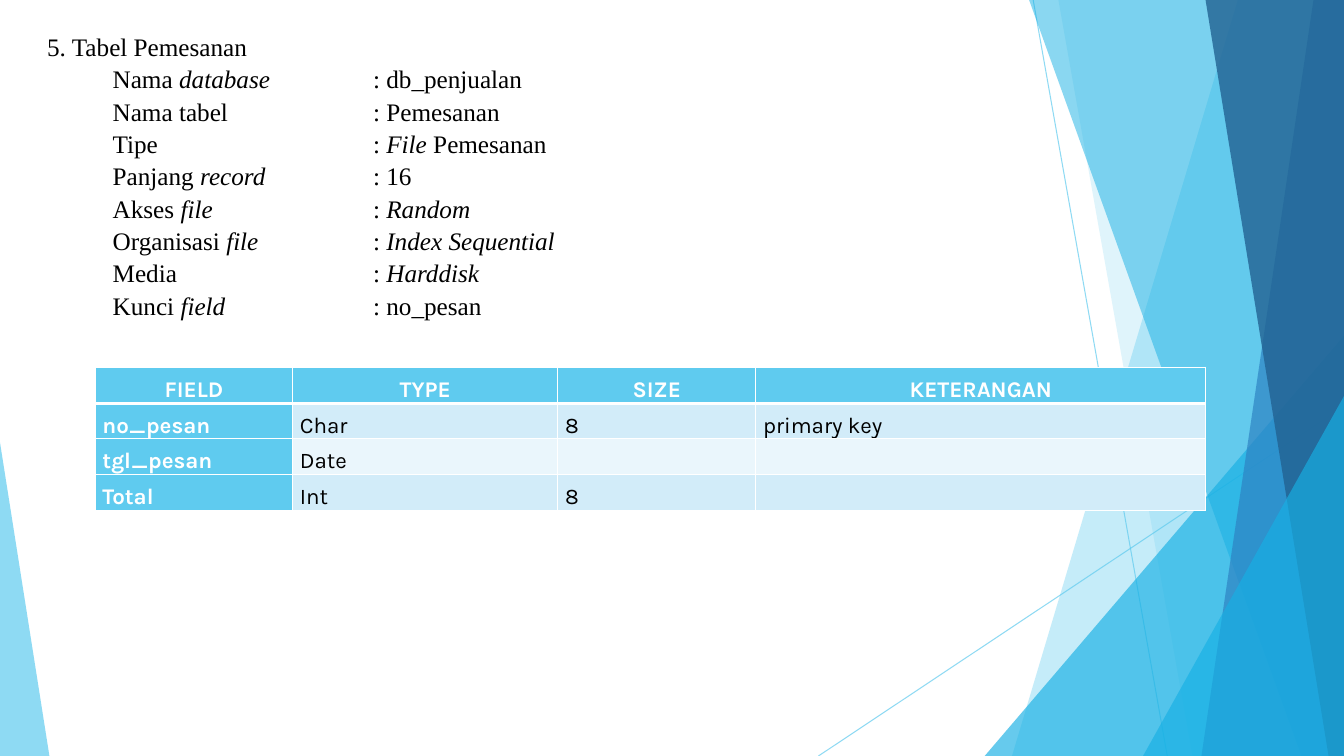
from lxml.etree import SubElement
from pptx import Presentation
from pptx.dml.color import RGBColor
from pptx.enum.shapes import MSO_CONNECTOR, MSO_SHAPE
from pptx.enum.text import MSO_ANCHOR, PP_ALIGN
from pptx.oxml.ns import qn
from pptx.util import Pt

WIDE, HIGH = 960, 540
COLORS = {"sky": "5FCBEF", "cyan": "17B0E4", "blue": "2E83C3", "navy": "226292",
          "pale": "D2ECF9", "mist": "EAF6FC", "white": "FFFFFF", "black": "000000"}

TITLE = "5. Tabel Pemesanan"
# Words between asterisks are italic.
FACTS = [
    ("Nama *database*", "db_penjualan"),
    ("Nama tabel", "Pemesanan"),
    ("Tipe", "*File* Pemesanan"),
    ("Panjang *record*", "16"),
    ("Akses *file*", "*Random*"),
    ("Organisasi *file*", "*Index Sequential*"),
    ("Media", "*Harddisk*"),
    ("Kunci *field*", "no_pesan"),
]
ROWS = [
    ("FIELD", "TYPE", "SIZE", "KETERANGAN"),
    ("no_pesan", "Char", "8", "primary key"),
    ("tgl_pesan", "Date", "", ""),
    ("Total", "Int", "8", ""),
]
COLS = (141.1, 189.4, 141.4, 321.5)
ROW_HIGH = (26, 25.2, 25.2, 25.9)
LEFT, TOP, LINE, INDENT, STOP = 26.6, 17.3, 23.1, 46.8, 186

RAYS = [(738, 0, 833.8, HIGH), (WIDE, 290.2, 584.6, HIGH)]
# A band is (x at top, x at bottom) and reaches the right edge;
# a wedge is (left, top, width, apex) and reaches the bottom edge.
FACETS = [
    ("band", (884.2, 722.9), "sky", 36),
    ("band", (756, 851.8), "sky", 20),
    ("wedge", (703.4, 239.8, 256.6, 1), "cyan", 66),
    ("band", (735.1, 929.5), "cyan", 50),
    ("band", (938.2, 858.2), "blue", 70),
    ("band", (861.1, 949), "navy", 80),
    ("wedge", (816.5, 283, 143.5, 1), "cyan", 66),
    ("wedge", (0, 316.1, 35.3, 0), "sky", 70),
]


def rgb(name):
    return RGBColor.from_string(COLORS[name])


def fade(part, alpha):
    """Make the solid colour inside a shape's properties partly clear."""
    tone = next(part._element.spPr.iter(qn("a:srgbClr")))
    SubElement(tone, qn("a:alpha"), val=str(alpha * 1000))


def draw_ray(shapes, ends):
    ray = shapes.add_connector(MSO_CONNECTOR.STRAIGHT, *map(Pt, ends))
    ray.line.color.rgb = rgb("sky")
    ray.line.width = Pt(0.75)
    fade(ray, 70)
    SubElement(ray._element.spPr, qn("a:effectLst"))


def draw_facet(shapes, kind, spot, color, alpha):
    if kind == "band":
        top, base = spot
        pen = shapes.build_freeform(Pt(top), 0)
        pen.add_line_segments([(Pt(x), Pt(y)) for x, y in
                               ((WIDE, 0), (WIDE, HIGH), (base, HIGH))])
        facet = pen.convert_to_shape()
    else:
        left, top, width, apex = spot
        facet = shapes.add_shape(MSO_SHAPE.ISOSCELES_TRIANGLE, Pt(left), Pt(top),
                                 Pt(width), Pt(HIGH - top))
        facet.adjustments[0] = apex
    facet.shadow.inherit = False
    facet.fill.solid()
    facet.fill.fore_color.rgb = rgb(color)
    facet.line.fill.background()
    fade(facet, alpha)


def write(para, text, font, size, color="black", bold=False,
          align=PP_ALIGN.LEFT, space=1.0):
    """Fill a paragraph, setting words between asterisks in italics."""
    para.alignment = align
    para.line_spacing = space
    for turn, piece in enumerate(text.split("*")):
        if piece:
            run = para.add_run()
            run.text = piece
            run.font.name = font
            run.font.size = Pt(size)
            run.font.bold = bold
            run.font.italic = turn % 2 == 1
            run.font.color.rgb = rgb(color)


def add_lines(shapes, left, top, lines):
    """Add a box of equally spaced lines, with one tab stop for the values."""
    box = shapes.add_textbox(Pt(left), Pt(top), Pt(433.4), Pt(len(lines) * LINE + 7.2))
    frame = box.text_frame
    frame.word_wrap = True
    for i, line in enumerate(lines):
        para = frame.add_paragraph() if i else frame.paragraphs[0]
        if "\t" in line:
            tabs = SubElement(para._p.get_or_add_pPr(), qn("a:tabLst"))
            SubElement(tabs, qn("a:tab"), pos=str(Pt(STOP)), algn="l")
        write(para, line, font="Times New Roman", size=18, space=Pt(LINE))


def set_edges(cell, base):
    props = cell._tc.get_or_add_tcPr()
    for side, width in (("L", 1), ("R", 1), ("T", 1), ("B", base)):
        edge = SubElement(props, qn(f"a:ln{side}"), w=str(Pt(width)))
        fill = SubElement(edge, qn("a:solidFill"))
        SubElement(fill, qn("a:srgbClr"), val=COLORS["white"])


def add_fields(shapes):
    table = shapes.add_table(len(ROWS), len(COLS), Pt(68), Pt(262.3),
                             Pt(sum(COLS)), Pt(sum(ROW_HIGH))).table
    table.first_row = table.horz_banding = False
    for col, width in zip(table.columns, COLS):
        col.width = Pt(width)
    for r, words in enumerate(ROWS):
        table.rows[r].height = Pt(ROW_HIGH[r])
        for c, word in enumerate(words):
            cell = table.cell(r, c)
            head = r == 0 or c == 0
            set_edges(cell, 1 if r else 3)
            cell.fill.solid()
            cell.fill.fore_color.rgb = rgb("sky" if head else "pale" if r % 2 else "mist")
            cell.margin_left = cell.margin_right = Pt(5.2)
            cell.margin_top = cell.margin_bottom = 0
            cell.vertical_anchor = MSO_ANCHOR.BOTTOM
            write(cell.text_frame.paragraphs[0], word, font="Karla", size=16,
                  color="white" if head else "black", bold=head,
                  align=PP_ALIGN.LEFT if r else PP_ALIGN.CENTER, space=1.07)


def main():
    deck = Presentation()
    deck.slide_width, deck.slide_height = Pt(WIDE), Pt(HIGH)
    shapes = deck.slides.add_slide(deck.slide_layouts[6]).shapes
    for ends in RAYS:
        draw_ray(shapes, ends)
    for facet in FACETS:
        draw_facet(shapes, *facet)
    add_lines(shapes, LEFT, TOP, [TITLE])
    add_lines(shapes, LEFT + INDENT, TOP + LINE,
              [f"{label}\t: {value}" for label, value in FACTS])
    add_fields(shapes)
    deck.save("out.pptx")


if __name__ == "__main__":
    main()
